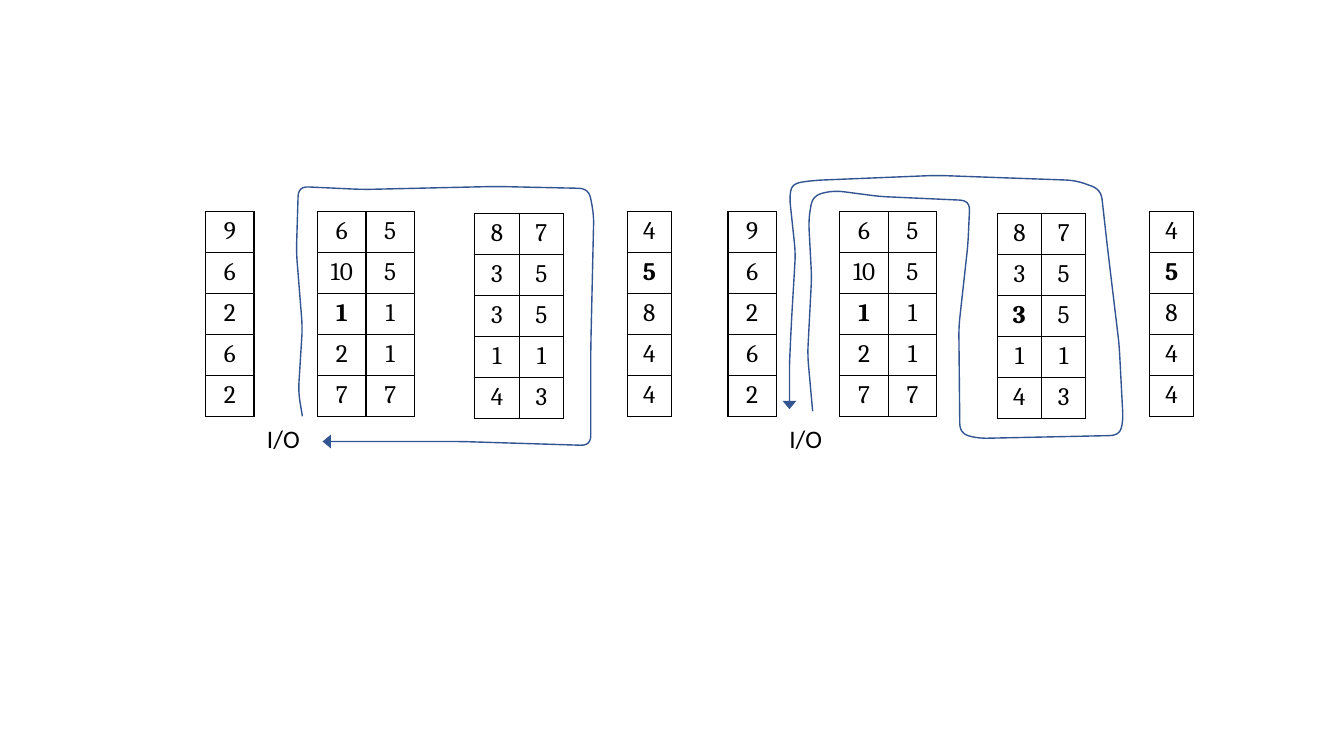
from dataclasses import dataclass
from itertools import chain
from math import dist

from lxml.etree import SubElement
from pptx import Presentation
from pptx.dml.color import RGBColor
from pptx.enum.text import PP_ALIGN as Align
from pptx.oxml.ns import qn
from pptx.util import Inches, Pt


@dataclass(frozen=True)
class Theme:
    ink: str = "000000"
    route: str = "325491"
    size: int = 18
    line: int = 1
    number_font: str = "Cambria"
    label_font: str = "Calibri"


ROW_HEIGHT = 2.03 / 5
PANEL_STEP = 5.18
TURN_RADIUS = 0.1
TURN_STEPS = 6


def toward(start, end, share):
    """Return the point that lies a share of the way from start to end."""
    return tuple(a + (b - a) * share for a, b in zip(start, end))


def round_turns(waypoints):
    """Replace each inner waypoint by a short quadratic curve."""
    yield waypoints[0]
    for before, turn, after in zip(waypoints, waypoints[1:], waypoints[2:]):
        entry, leave = (
            toward(turn, other, min(0.5, TURN_RADIUS / dist(turn, other)))
            for other in (before, after))
        for step in range(TURN_STEPS + 1):
            share = step / TURN_STEPS
            yield toward(toward(entry, turn, share), toward(turn, leave, share), share)
    yield waypoints[-1]


class WarehousePage:
    def __init__(self, deck, theme):
        self.theme = theme
        self.page = deck.slides.add_slide(deck.slide_layouts[6])

    def style_text(self, para, font_name, bold=False):
        font = para.font
        font.name, font.size, font.bold = font_name, Pt(self.theme.size), bold
        font.color.rgb = RGBColor.from_string(self.theme.ink)

    def border(self, cell):
        properties = cell._tc.get_or_add_tcPr()
        for position, side in enumerate(("lnL", "lnR", "lnT", "lnB")):
            line = SubElement(properties, qn(f"a:{side}"), w=str(Pt(self.theme.line)))
            fill = SubElement(line, qn("a:solidFill"))
            SubElement(fill, qn("a:srgbClr"), val=self.theme.ink)
            properties.insert(position, line)

    def rack(self, left, top, column_width, rows):
        """Draw a rack of numbers; a leading * marks a bold one."""
        columns = len(rows[0])
        frame = self.page.shapes.add_table(
            len(rows), columns, Inches(left), Inches(top),
            Inches(column_width * columns), Inches(ROW_HEIGHT * len(rows)))
        table = frame.table
        table.first_row = table.horz_banding = False
        for column in table.columns:
            column.width = Inches(column_width)
        for row, values in zip(table.rows, rows):
            row.height = Inches(ROW_HEIGHT)
            for cell, value in zip(row.cells, values):
                cell.fill.background()
                cell.margin_left = cell.margin_right = Inches(0.05)
                cell.margin_bottom = Inches(0.03)
                cell.text = value.lstrip("*")
                para = cell.text_frame.paragraphs[0]
                para.alignment = Align.CENTER
                self.style_text(para, self.theme.number_font, value.startswith("*"))
                self.border(cell)

    def label(self, left, top, width, height, text):
        box = self.page.shapes.add_textbox(
            Inches(left), Inches(top), Inches(width), Inches(height))
        box.text_frame.word_wrap = False
        para = box.text_frame.paragraphs[0]
        para.text = text
        self.style_text(para, self.theme.label_font)

    def route(self, legs):
        """Join the legs into one walk with rounded turns and an arrowhead."""
        waypoints = list(chain.from_iterable(legs.values()))
        start, *rest = [(Inches(x), Inches(y)) for x, y in round_turns(waypoints)]
        builder = self.page.shapes.build_freeform(*start)
        builder.add_line_segments(rest, close=False)
        shape = builder.convert_to_shape()
        shape.shadow.inherit = False
        shape.fill.background()
        shape.line.width = Pt(self.theme.line)
        shape.line.color.rgb = RGBColor.from_string(self.theme.route)
        SubElement(shape.line._get_or_add_ln(), qn("a:tailEnd"),
                   type="triangle", w="lg", len="med")


# Racks: left, top, column width, values by row
RACKS = [
    (2.04, 2.1, 0.48, "9|6|2|6|2"),
    (3.15, 2.1, 0.48, "6 5|10 5|*1 1|2 1|7 7"),
    (4.71, 2.12, 0.44, "8 7|3 5|{pick} 5|1 1|4 3"),
    (6.22, 2.1, 0.44, "4|*5|8|4|4"),
]

# Walks from the I/O point and back: the bends of each leg
LOOP_WALK = {
    "up the first aisle": [(3, 4.13), (2.96, 3.89), (3, 3.25), (2.94, 2.5)],
    "across the top": [(2.96, 1.85), (3.6, 1.88), (4.92, 1.85), (5.84, 1.87)],
    "down the last aisle": [(5.89, 2.13), (5.86, 3.46)],
    "back along the bottom": [(5.86, 4.42), (4.57, 4.38), (3.2, 4.38)],
}
WINDING_WALK = {
    "up the first aisle": [(8.06, 4.08), (8.01, 3.52), (8.05, 2.75), (8.02, 2.18)],
    "over the second rack": [(8.06, 1.94), (8.27, 1.89), (8.73, 1.95), (9.62, 1.99)],
    "down the middle aisle": [(9.6, 2.43), (9.51, 3.24)],
    "under the third rack": [(9.52, 4.3), (9.7, 4.35), (11.1, 4.32)],
    "up the last aisle": [(11.14, 4.18), (11.1, 3.42), (10.98, 2.42)],
    "back across the top": [(10.92, 1.88), (10.67, 1.79), (9.29, 1.74), (8.07, 1.79)],
    "down to the start": [(7.86, 1.82), (7.83, 1.95), (7.89, 2.51), (7.85, 3.19),
                          (7.83, 3.62), (7.83, 4.06)],
}

deck = Presentation()
deck.slide_width, deck.slide_height = Inches(13.33), Inches(7.5)
warehouse = WarehousePage(deck, Theme())

# Two panels with the same racks and a different walk
for panel, (pick, walk) in enumerate([("3", LOOP_WALK), ("*3", WINDING_WALK)]):
    shift = panel * PANEL_STEP
    for left, top, column_width, values in RACKS:
        rows = [row.split() for row in values.format(pick=pick).split("|")]
        warehouse.rack(left + shift, top, column_width, rows)
    warehouse.label(2.55 + shift, 4.15, 0.53, 0.4, "I/O")
    warehouse.route(walk)

deck.save("out.pptx")
